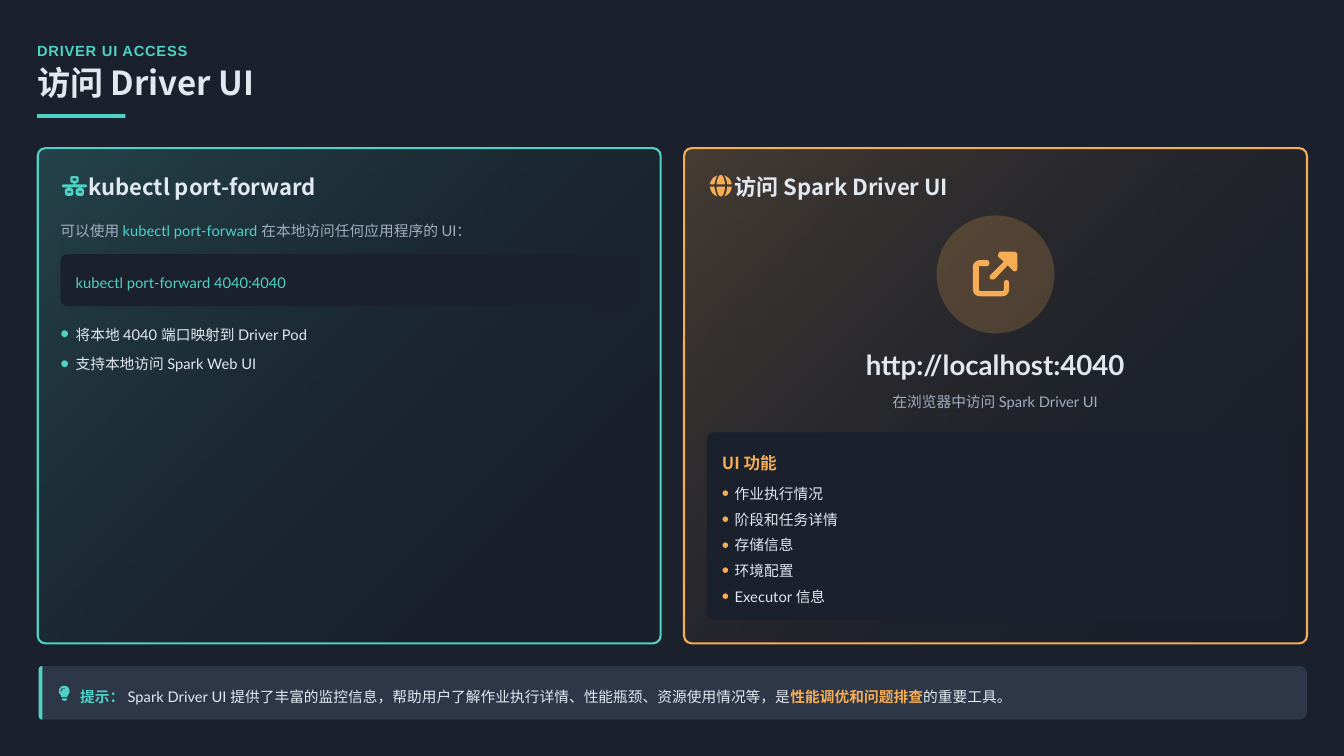
from lxml import etree
from pptx import Presentation
from pptx import util as u
from pptx.dml.color import RGBColor
from pptx.enum import shapes, text
from pptx.oxml.ns import qn

TEAL, GOLD, PALE, GREY = "4FD1C5", "F6AD55", "E2E8F0", "A0AEC0"
DARK, SLATE = "1A202C", "2D3748"
LATO, NOTO = "Lato", "Noto Sans CJK SC"
LEFT, RIGHT = 0.5, 9.05
KIND = shapes.MSO_SHAPE

GLOBE = [
    "M 9.59 2.47 L 9.48 2.47 C 9.48 2.51 9.49 2.54 9.5 2.57 C 9.52 2.61 9.55 2.61 9.57 2.57"
    " C 9.58 2.54 9.59 2.51 9.59 2.47",
    "M 9.48 2.44 L 9.59 2.44 C 9.59 2.41 9.58 2.37 9.57 2.35 C 9.55 2.3 9.52 2.3 9.5 2.35"
    " C 9.49 2.37 9.48 2.41 9.48 2.44",
    "M 9.45 2.44 C 9.46 2.4 9.47 2.35 9.49 2.32 C 9.43 2.34 9.4 2.39 9.39 2.44",
    "M 9.39 2.47 C 9.4 2.53 9.43 2.58 9.49 2.6 C 9.47 2.57 9.46 2.52 9.45 2.47",
    "M 9.62 2.47 C 9.62 2.52 9.6 2.57 9.58 2.6 C 9.64 2.58 9.68 2.53 9.68 2.47",
    "M 9.68 2.44 C 9.68 2.39 9.64 2.34 9.58 2.32 C 9.6 2.35 9.62 2.4 9.62 2.44",
]
LINK = [
    "M 13.21 3.36 C 13.21 3.34 13.22 3.33 13.24 3.33 L 13.42 3.33 C 13.44 3.33 13.46 3.35 13.46 3.37"
    " L 13.46 3.55 C 13.46 3.59 13.42 3.6 13.4 3.58 L 13.33 3.51 L 13.16 3.69"
    " C 13.14 3.7 13.12 3.7 13.1 3.69 C 13.09 3.67 13.09 3.65 13.1 3.64 L 13.28 3.46 L 13.21 3.4"
    " C 13.2 3.39 13.2 3.37 13.21 3.36",
    "M 12.87 3.53 C 12.87 3.48 12.91 3.44 12.97 3.44 L 13.06 3.44 C 13.1 3.44 13.1 3.52 13.06 3.52"
    " L 12.97 3.52 C 12.96 3.52 12.95 3.52 12.95 3.53 L 12.95 3.83 C 12.95 3.84 12.96 3.85 12.97 3.85"
    " L 13.26 3.85 C 13.27 3.85 13.28 3.84 13.28 3.83 L 13.28 3.74 C 13.28 3.69 13.35 3.69 13.35 3.74"
    " L 13.35 3.83 C 13.35 3.88 13.31 3.92 13.26 3.92 L 12.97 3.92 C 12.91 3.92 12.87 3.88 12.87 3.83",
]
BULB = [
    "M 0.89 9.22 C 0.89 9.21 0.9 9.2 0.9 9.19 C 0.92 9.18 0.92 9.16 0.92 9.14"
    " C 0.92 9.1 0.89 9.07 0.85 9.07 C 0.81 9.07 0.78 9.1 0.78 9.14 C 0.78 9.16 0.79 9.18 0.8 9.19"
    " C 0.81 9.2 0.81 9.21 0.81 9.22",
    "M 0.89 9.24 L 0.82 9.24 C 0.82 9.26 0.83 9.27 0.85 9.27 L 0.86 9.27 C 0.87 9.27 0.89 9.26 0.89 9.24",
    "M 0.85 9.11 C 0.83 9.11 0.82 9.13 0.82 9.14 C 0.82 9.15 0.8 9.15 0.8 9.14"
    " C 0.8 9.12 0.82 9.1 0.85 9.1 C 0.87 9.1 0.87 9.11 0.85 9.11",
]
NET = [
    "M 0.96 2.33 C 0.94 2.33 0.93 2.34 0.93 2.36 L 0.93 2.39 C 0.93 2.41 0.94 2.42 0.96 2.42"
    " L 0.97 2.42 L 0.97 2.44 L 0.84 2.44 C 0.81 2.44 0.81 2.48 0.84 2.48 L 0.89 2.48 L 0.89 2.49"
    " C 0.87 2.49 0.86 2.51 0.86 2.52 L 0.86 2.56 C 0.86 2.57 0.87 2.59 0.89 2.59 L 0.94 2.59"
    " C 0.96 2.59 0.97 2.57 0.97 2.56 L 0.97 2.52 C 0.97 2.51 0.96 2.49 0.94 2.49 L 0.93 2.49"
    " L 0.93 2.48 L 1.04 2.48 L 1.04 2.49 L 1.03 2.49 C 1.02 2.49 1 2.51 1 2.52 L 1 2.56"
    " C 1 2.57 1.02 2.59 1.03 2.59 L 1.09 2.59 C 1.1 2.59 1.11 2.57 1.11 2.56 L 1.11 2.52"
    " C 1.11 2.51 1.1 2.49 1.09 2.49 L 1.08 2.49 L 1.08 2.48 L 1.13 2.48 C 1.16 2.48 1.16 2.44 1.13 2.44"
    " L 1 2.44 L 1 2.42 L 1.01 2.42 C 1.03 2.42 1.04 2.41 1.04 2.39 L 1.04 2.36"
    " C 1.04 2.34 1.03 2.33 1.01 2.33",
    "M 0.96 2.36 L 1.01 2.36 L 1.01 2.39 L 0.96 2.39",
    "M 1.08 2.53 L 1.08 2.55 L 1.04 2.55 L 1.04 2.53",
    "M 0.94 2.53 L 0.94 2.55 L 0.89 2.55 L 0.89 2.53",
]
ENDS = "C 0.53 9.52 0.51 9.49 0.51 9.47 L 0.51 8.86 C 0.51 8.83 0.53 8.81 0.56 8.81"
BAR = ["M 0.56 8.81 L 17.19 8.81 C 17.25 8.81 17.29 8.85 17.29 8.91 L 17.29 9.42"
       " C 17.29 9.47 17.25 9.52 17.19 9.52 L 0.56 9.52 " + ENDS]
EDGE = ["M 0.56 8.81 L 0.56 9.52 " + ENDS]


def rgb(code):
    return RGBColor.from_string(code)


def fade(node, share):
    """Give a colour element an opacity in percent."""
    etree.SubElement(node, qn("a:alpha")).set("val", str(share * 1000))


def paint(shape, fill):
    shape.shadow.inherit = False
    shape.fill.solid()
    shape.fill.fore_color.rgb = rgb(fill)
    shape.line.fill.background()


def block(slide, kind, box, fill, curve=0, share=100):
    shape = slide.shapes.add_shape(kind, *map(u.Inches, box))
    paint(shape, fill)
    if curve:
        shape.adjustments[0] = curve / min(box[2:])
    if share < 100:
        fade(shape._element.spPr.find(".//" + qn("a:srgbClr")), share)
    return shape


def card(slide, x, tint):
    shape = block(slide, KIND.ROUNDED_RECTANGLE, (x, 1.96, 8.24, 6.55), tint, 0.1)
    shape.fill.gradient()
    shape.fill.gradient_angle = 315
    ramp = ((tint, 20, 0), ("000000", 0, 1))
    for stop, (code, share, spot) in zip(shape.fill.gradient_stops, ramp):
        stop.color.rgb = rgb(code)
        stop.position = spot
        fade(stop._gs[0], share)
    shape.line.color.rgb = rgb(tint)
    shape.line.width = u.Pt(2)


def points(route):
    """Turn M, L and C commands into points, four for each curve."""
    words, out = iter(route.split()), []
    for word in words:
        take = [float(next(words)) for _ in range(6 if word == "C" else 2)]
        ends = list(zip(take[::2], take[1::2]))
        if word == "C":
            a, b, c, d = [out[-1]] + ends
            for t in (0.25, 0.5, 0.75, 1):
                s = 1 - t
                out.append(tuple(s**3 * p + 3 * s * s * t * q + 3 * s * t * t * r + t**3 * e
                                 for p, q, r, e in zip(a, b, c, d)))
        else:
            out += ends
    return [(u.Inches(x), u.Inches(y)) for x, y in out]


def trace(slide, routes, fill):
    pen = None
    for route in routes:
        first, *rest = points(route)
        if pen is None:
            pen = slide.shapes.build_freeform(*first)
        else:
            pen.move_to(*first)
        pen.add_line_segments(rest, close=True)
    paint(pen.convert_to_shape(), fill)


def place(shape, box, anchor=text.MSO_ANCHOR.MIDDLE):
    shape.left, shape.top, shape.width, shape.height = map(u.Inches, box)
    frame = shape.text_frame
    frame.margin_left = frame.margin_right = frame.margin_top = frame.margin_bottom = 0
    frame.word_wrap = True
    frame.auto_size = text.MSO_AUTO_SIZE.NONE
    frame.vertical_anchor = anchor
    return frame


def style(par, size, face, code, bold=False, space=1.3, align=text.PP_ALIGN.LEFT):
    par.alignment = align
    par.line_spacing = space
    par.space_before = u.Pt(0)
    font = par.font
    font.size, font.name, font.bold = u.Pt(size), face, bold
    font.color.rgb = rgb(code)


def write(slide, box, words, *look, **more):
    frame = place(slide.shapes.add_textbox(0, 0, 0, 0), box)
    par = frame.paragraphs[0]
    for word, code, bold in [(words, None, None)] if isinstance(words, str) else words:
        run = par.add_run()
        run.text = word
        if code:
            run.font.color.rgb = rgb(code)
            run.font.bold = bold
    style(par, *look, **more)
    return par


def dot(par, tint, size, indent):
    props = par._p.get_or_add_pPr()
    props.set("marL", str(u.Inches(indent)))
    props.set("indent", str(-u.Inches(indent)))
    hue = etree.SubElement(props, qn("a:buClr"))
    etree.SubElement(hue, qn("a:srgbClr")).set("val", tint)
    for tag, key, val in (("buSzPct", "val", str(size * 1000)),
                          ("buFont", "typeface", "Arial"), ("buChar", "char", "•")):
        etree.SubElement(props, qn("a:" + tag)).set(key, val)


def bullets(slide, holder, box, items, tint, size, indent, pitch):
    slide.shapes._spTree.append(holder._element)
    frame = place(holder, box, text.MSO_ANCHOR.TOP)
    frame.text = "\n".join(items)
    for par in frame.paragraphs:
        dot(par, tint, size, indent)
        style(par, 14, LATO, PALE, space=u.Pt(pitch))


def main():
    deck = Presentation()
    deck.slide_width, deck.slide_height = u.Inches(17.78), u.Inches(10)
    slide = deck.slides.add_slide(deck.slide_layouts[3])
    slide.background.fill.solid()
    slide.background.fill.fore_color.rgb = rgb(DARK)
    title, steps, feats = slide.placeholders
    mid = text.PP_ALIGN.CENTER

    kicker = write(slide, (0.49, 0.49, 16.9, 0.29), "DRIVER UI ACCESS", 14, "Arial", TEAL, True)
    kicker.runs[0]._r.get_or_add_rPr().set("spc", "70")
    place(title, (0.49, 0.88, 17.02, 0.49)).text = "访问 Driver UI"
    style(title.text_frame.paragraphs[0], 31.5, NOTO, PALE, True, 0.9)
    block(slide, KIND.RECTANGLE, (0.49, 1.51, 1.17, 0.05), TEAL)

    for x, tint, head in ((LEFT, TEAL, "kubectl port-forward"), (RIGHT, GOLD, "访问 Spark Driver UI")):
        card(slide, x, tint)
        write(slide, (x + 0.67, 2.26, 7.41, 0.39), head, 21, NOTO, PALE, True, 1.1)

    trace(slide, NET, TEAL)
    write(slide, (0.8, 2.85, 7.73, 0.32),
          [("可以使用 ", GREY, False), ("kubectl port-forward", TEAL, False),
           (" 在本地访问任何应用程序的 UI：", GREY, False)], 14, LATO, GREY, space=1.4)
    block(slide, KIND.ROUNDED_RECTANGLE, (0.8, 3.36, 7.63, 0.69), DARK, 0.1)
    write(slide, (1, 3.59, 5.72, 0.23), "kubectl port-forward 4040:4040", 14, LATO, TEAL)
    bullets(slide, steps, (0.8, 4.15, 7.5, 0.8),
            ["将本地 4040 端口映射到 Driver Pod", "支持本地访问 Spark Web UI"], TEAL, 170, 0.2, 28)

    trace(slide, GLOBE, GOLD)
    block(slide, KIND.OVAL, (12.39, 2.85, 1.56, 1.56), GOLD, share=20)
    trace(slide, LINK, GOLD)
    write(slide, (9.26, 4.6, 7.81, 0.44), "http://localhost:4040", 26.3, LATO, PALE, True, 1, mid)
    write(slide, (9.3, 5.13, 7.73, 0.29), "在浏览器中访问 Spark Driver UI", 14, LATO, GREY, align=mid)
    block(slide, KIND.ROUNDED_RECTANGLE, (9.35, 5.72, 7.63, 2.48), DARK, 0.1)
    write(slide, (9.55, 5.91, 7.35, 0.34), "UI 功能", 15.8, NOTO, GOLD, True)
    bullets(slide, feats, (9.55, 6.3, 7.3, 1.75),
            ["作业执行情况", "阶段和任务详情", "存储信息", "环境配置", "Executor 信息"],
            GOLD, 140, 0.17, 24.6)

    trace(slide, BAR, SLATE)
    trace(slide, EDGE, TEAL)
    trace(slide, BULB, TEAL)
    write(slide, (1.06, 9.01, 16.13, 0.32),
          [("提示：", TEAL, True),
           (" Spark Driver UI 提供了丰富的监控信息，帮助用户了解作业执行详情、性能瓶颈、资源使用情况等，是", PALE, False),
           ("性能调优和问题排查", GOLD, True), ("的重要工具。", PALE, False)], 14, LATO, PALE, space=1.4)
    deck.save("out.pptx")


if __name__ == "__main__":
    main()
